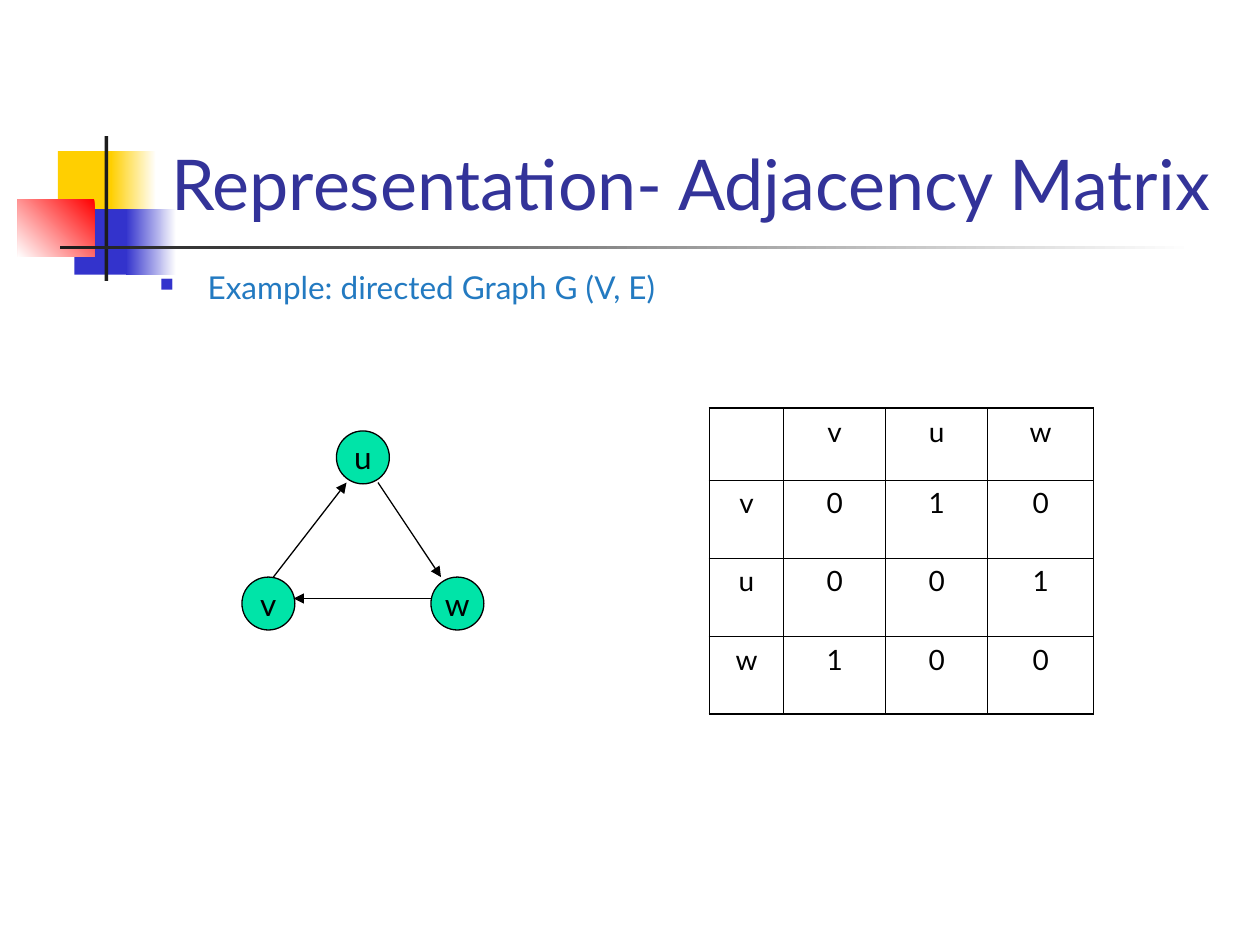
from pptx import Presentation
from pptx.dml.color import RGBColor
from pptx.enum.shapes import MSO_CONNECTOR as Connector, MSO_SHAPE as Shape
from pptx.enum.text import MSO_ANCHOR as Anchor, MSO_AUTO_SIZE as AutoSize, PP_ALIGN as Align
from pptx.oxml.ns import qn
from pptx.util import Inches, Pt
from lxml.etree import SubElement

COLORS = {
    "white": "FFFFFF", "black": "000000", "yellow": "FFCF01", "blue": "3333CC",
    "red": "FF0000", "charcoal": "1C1C1C", "title": "333399", "example": "237AC1",
    "node": "00E4A8",
}
FONT = "Lato"
TITLE = "Representation- Adjacency Matrix"
EXAMPLE = "Example: directed Graph G (V, E)"

# left, top, width, height, colours (two make a gradient), angle
ORNAMENTS = [
    (0.46, 1.2, 0.48, 0.52, ["yellow"], 0),
    (0.88, 1.2, 0.36, 0.52, ["white", "yellow"], 180),
    (0.59, 1.66, 0.46, 0.52, ["blue"], 0),
    (1, 1.66, 0.4, 0.52, ["white", "blue"], 180),
    (0.14, 1.58, 0.61, 0.46, ["red", "white"], 225),
    (0.83, 1.08, 0.03, 1.15, ["charcoal"], 0),
    (0.48, 1.95, 9, 0.03, ["white", "charcoal"], 180),
]
NODE_SIZE = 0.42
NODES = {"u": (2.67, 3.42), "v": (1.92, 4.58), "w": (3.42, 4.58)}
EDGES = [(3, 3.83, 3.5, 4.58), (3.42, 4.75, 2.33, 4.75), (2.17, 4.58, 2.75, 3.83)]

VERTICES = ["v", "u", "w"]
ADJACENCY = [[0, 1, 0], [0, 0, 1], [1, 0, 0]]
MATRIX_LEFT, MATRIX_TOP = 5.63, 3.24
COLUMN_WIDTHS = [0.59, 0.81, 0.81, 0.84]
ROW_HEIGHTS = [0.57, 0.62, 0.62, 0.62]
OUTER_BORDER, INNER_BORDER = 1.08, 0.45


def rgb(name):
    return RGBColor.from_string(COLORS[name])


def write(frame, text, size=18, color="black", align=Align.LEFT):
    paragraph = frame.paragraphs[0]
    paragraph.alignment = align
    run = paragraph.add_run()
    run.text = text
    run.font.name, run.font.size, run.font.color.rgb = FONT, Pt(size), rgb(color)
    return paragraph


def add_ornament(slide, left, top, width, height, colors, angle):
    block = slide.shapes.add_shape(Shape.RECTANGLE, *map(Inches, (left, top, width, height)))
    block.shadow.inherit = False
    block.line.fill.background()
    if len(colors) == 1:
        block.fill.solid()
        block.fill.fore_color.rgb = rgb(colors[0])
        return
    block.fill.gradient()
    block.fill.gradient_angle = angle
    for stop, color in zip(block.fill.gradient_stops, colors):
        stop.color.rgb = rgb(color)


def add_title(slide):
    title = slide.shapes.title
    title.left, title.top, title.width, title.height = map(Inches, (1.26, 0.23, 8.52, 1.6))
    frame = title.text_frame
    frame.word_wrap, frame.auto_size = True, AutoSize.NONE
    frame.vertical_anchor = Anchor.BOTTOM
    write(frame, TITLE, size=40, color="title")
    slide.shapes._spTree.append(title._element)


def add_example(slide):
    frame = slide.shapes.add_textbox(*map(Inches, (1.17, 2.08, 7.33, 0.67))).text_frame
    frame.word_wrap = True
    properties = write(frame, EXAMPLE, color="example")._p.get_or_add_pPr()
    properties.set("marL", str(Inches(0.38)))
    properties.set("indent", str(Inches(-0.38)))
    SubElement(SubElement(properties, qn("a:buClr")), qn("a:srgbClr"), val=COLORS["blue"])
    SubElement(properties, qn("a:buSzPct"), val="60000")
    SubElement(properties, qn("a:buChar"), char="■")


def add_border(cell, side, width):
    border = SubElement(cell._tc.get_or_add_tcPr(), qn(f"a:ln{side}"), w=str(Pt(width)))
    SubElement(SubElement(border, qn("a:solidFill")), qn("a:srgbClr"), val=COLORS["black"])


def add_matrix(slide):
    rows = [["", *VERTICES]] + [[v, *map(str, links)] for v, links in zip(VERTICES, ADJACENCY)]
    last = len(rows) - 1
    size = (MATRIX_LEFT, MATRIX_TOP, sum(COLUMN_WIDTHS), sum(ROW_HEIGHTS))
    matrix = slide.shapes.add_table(len(rows), len(rows), *map(Inches, size)).table
    matrix.first_row = matrix.horz_banding = False
    for column, width in zip(matrix.columns, COLUMN_WIDTHS):
        column.width = Inches(width)
    for row, height in zip(matrix.rows, ROW_HEIGHTS):
        row.height = Inches(height)
    for r, values in enumerate(rows):
        for c, value in enumerate(values):
            cell = matrix.cell(r, c)
            if value:
                write(cell.text_frame, value, size=16, align=Align.CENTER)
            outer = {"L": c == 0, "R": c == last, "T": r == 0, "B": r == last}
            for side, is_outer in outer.items():
                add_border(cell, side, OUTER_BORDER if is_outer else INNER_BORDER)
            cell.fill.background()


def add_node(slide, label, left, top):
    node = slide.shapes.add_shape(Shape.OVAL, *map(Inches, (left, top, NODE_SIZE, NODE_SIZE)))
    node.shadow.inherit = False
    node.fill.solid()
    node.fill.fore_color.rgb = rgb("node")
    node.line.color.rgb, node.line.width = rgb("black"), Pt(0.75)
    node.text_frame.word_wrap = False
    node.text_frame.vertical_anchor = Anchor.MIDDLE
    write(node.text_frame, label, align=Align.CENTER)


def add_edge(slide, *ends):
    edge = slide.shapes.add_connector(Connector.STRAIGHT, *map(Inches, ends))
    edge.line.color.rgb, edge.line.width = rgb("black"), Pt(0.75)
    SubElement(edge.line._get_or_add_ln(), qn("a:tailEnd"), type="triangle")
    SubElement(edge._element.spPr, qn("a:effectLst"))


def main():
    """Build the slide on the adjacency matrix of a directed graph."""
    deck = Presentation()
    deck.slide_width, deck.slide_height = Inches(10), Inches(7.5)
    slide = deck.slides.add_slide(deck.slide_layouts[5])
    for ornament in ORNAMENTS:
        add_ornament(slide, *ornament)
    add_title(slide)
    add_example(slide)
    add_matrix(slide)
    for label, place in NODES.items():
        add_node(slide, label, *place)
    for ends in EDGES:
        add_edge(slide, *ends)
    deck.save("out.pptx")


if __name__ == "__main__":
    main()
